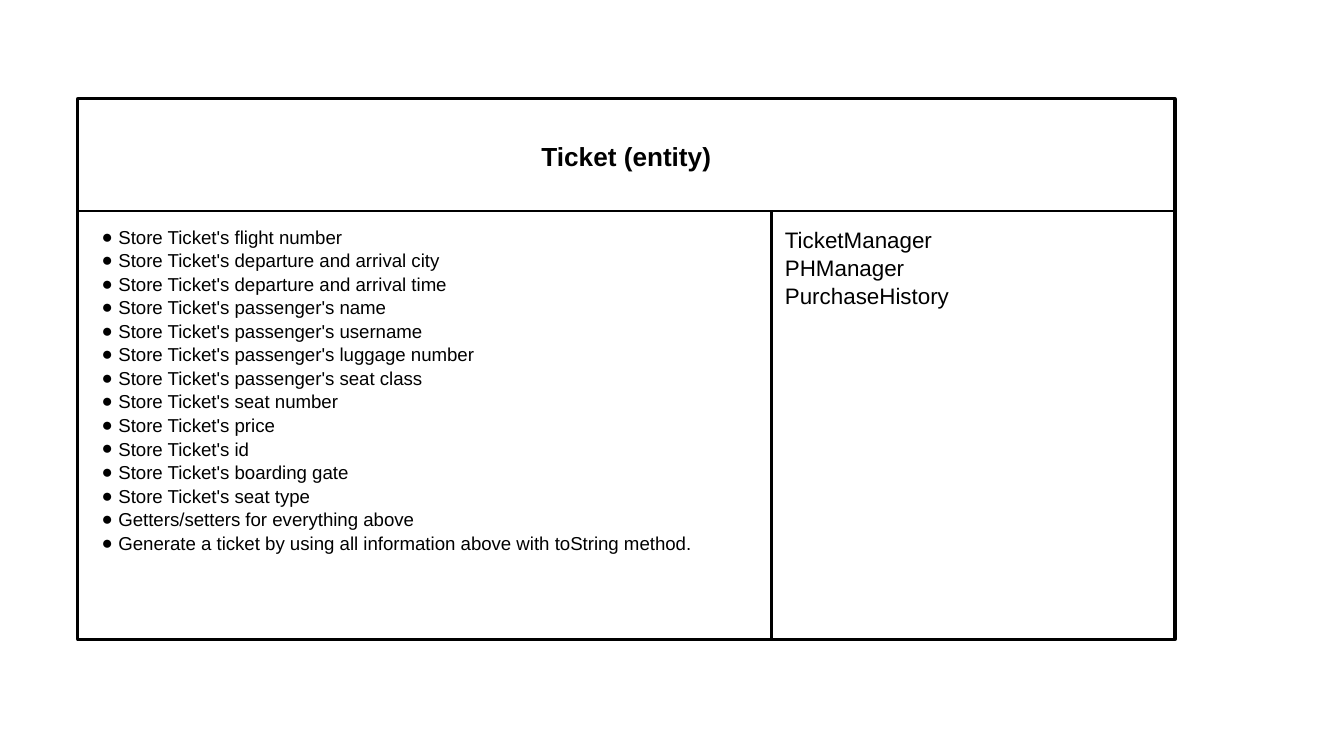
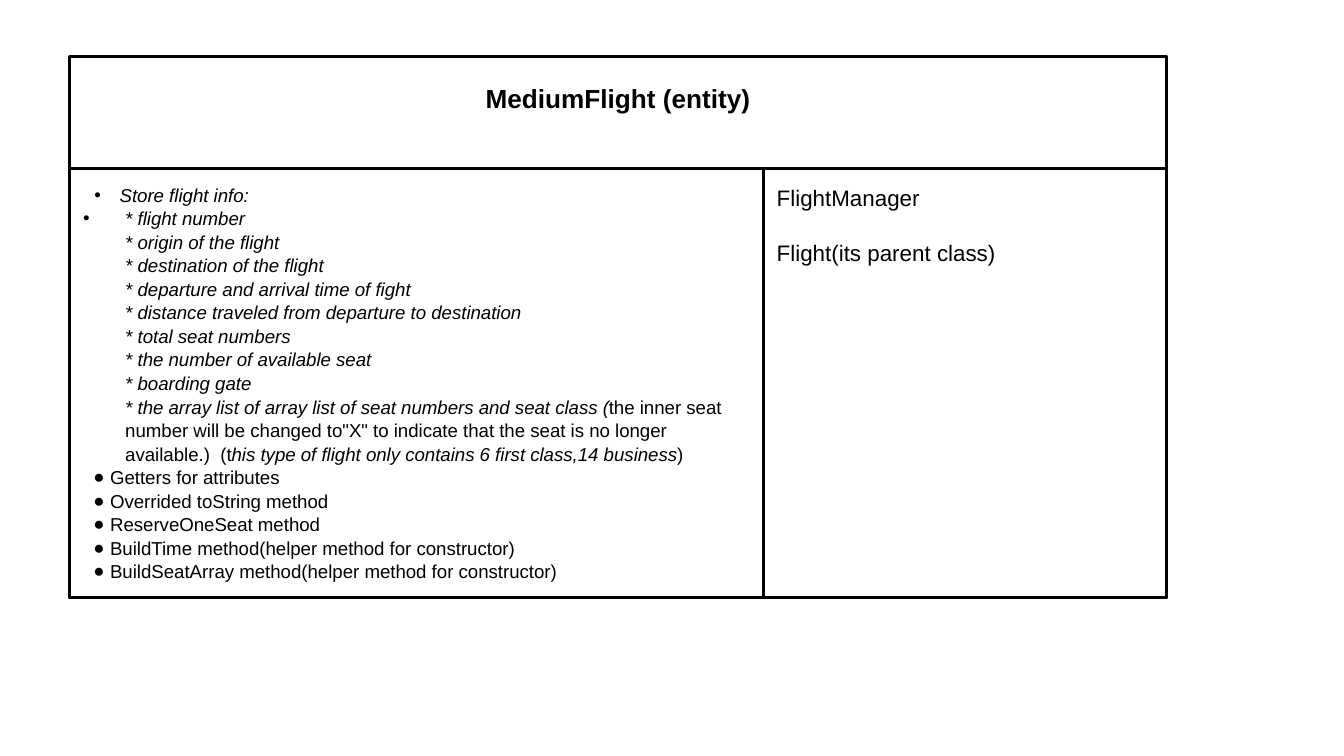
from copy import deepcopy
from lxml.etree import SubElement
from pptx import Presentation
from pptx.dml.color import RGBColor
from pptx.enum.shapes import MSO_SHAPE
from pptx.enum.text import MSO_ANCHOR, MSO_AUTO_SIZE, PP_ALIGN
from pptx.oxml.ns import qn
from pptx.util import Pt

BLACK = RGBColor(0, 0, 0)
WHITE = RGBColor(255, 255, 255)
FONT = "Arial"
HEAD, BODY = 60, 229.5
LEFT, RIGHT = 371.5, 216
WIDTH = LEFT + RIGHT
PAD = 7.2
DOT = dict(mark="●", left=14.4, hang=9)

STORED = [
    "flight number", "departure and arrival city",
    "departure and arrival time", "passenger's name",
    "passenger's username", "passenger's luggage number",
    "passenger's seat class", "seat number", "price", "id",
    "boarding gate", "seat type",
]
TICKET = [f"Store Ticket's {item}" for item in STORED] + [
    "Getters/setters for everything above",
    "Generate a ticket by using all information above with toString method.",
]
INFO = [
    "flight number", "origin of the flight", "destination of the flight",
    "departure and arrival time of fight",
    "distance traveled from departure to destination",
    "total seat numbers", "the number of available seat", "boarding gate",
    "the array list of array list of seat numbers and seat class (",
]
DETAIL = [
    ("\n".join(f"* {item}" for item in INFO), True),
    ('the inner seat number will be changed to"X" to indicate that '
     "the seat is no longer available.)  (t", False),
    ("his type of flight only contains 6 first class,14 business", True),
    (")", False),
]
METHODS = [
    "Getters for attributes",
    "Overrided toString method",
    "ReserveOneSeat method",
    "BuildTime method(helper method for constructor)",
    "BuildSeatArray method(helper method for constructor)",
]


def bullet(para, mark, left, hang):
    props = para._p.get_or_add_pPr()
    props.set("marL", str(Pt(left)))
    props.set("indent", str(-Pt(hang)))
    if not mark:
        SubElement(props, qn("a:buNone"))
        return
    color = SubElement(props, qn("a:buClr"))
    SubElement(color, qn("a:srgbClr"), val=str(BLACK))
    SubElement(props, qn("a:buFont"), typeface=FONT)
    SubElement(props, qn("a:buChar"), char=mark)


def write(frame, text, size=10, bold=False, italic=False, align=PP_ALIGN.LEFT,
          before=0, mark=None, left=0, hang=0):
    para = frame.add_paragraph() if frame.text else frame.paragraphs[0]
    bullet(para, mark, left, hang)
    para.alignment = align
    para.line_spacing = 1.05
    para.space_before = Pt(before)
    para.space_after = Pt(0)
    parts = [(text, italic)] if isinstance(text, str) else text
    for words, slant in parts:
        for row, line in enumerate(words.split("\n")):
            if row:
                para.add_line_break()
            run = para.add_run()
            run.text = line
            font = run.font
            font.name, font.size = FONT, Pt(size)
            font.bold, font.italic = bold, slant
            font.color.rgb = BLACK
    for gap in para._p.findall(qn("a:br")):
        gap.append(deepcopy(para.runs[0]._r.rPr))


def paint(shape, weight):
    shape.fill.solid()
    shape.fill.fore_color.rgb = WHITE
    shape.line.color.rgb = BLACK
    shape.line.width = Pt(weight)


def cell(shape, x, y, width, height, anchor=MSO_ANCHOR.TOP, foot=PAD):
    shape.left, shape.top = Pt(x), Pt(y)
    shape.width, shape.height = Pt(width), Pt(height)
    paint(shape, 1.5)
    frame = shape.text_frame
    frame.word_wrap = True
    frame.auto_size = MSO_AUTO_SIZE.NONE
    frame.vertical_anchor = anchor
    frame.margin_left = frame.margin_right = frame.margin_top = Pt(PAD)
    frame.margin_bottom = Pt(foot)
    return frame


def card(deck, x, y, title, peers, foot=PAD, gap=0):
    slide = deck.slides.add_slide(deck.slide_layouts[3])
    border = slide.shapes.add_shape(
        MSO_SHAPE.RECTANGLE, Pt(x), Pt(y), Pt(WIDTH), Pt(HEAD + BODY))
    border.shadow.inherit = False
    paint(border, 2.25)
    slide.shapes._spTree.insert(2, border._element)
    head, duties, helpers = slide.placeholders
    frame = cell(head, x, y, WIDTH, HEAD, MSO_ANCHOR.MIDDLE, foot)
    write(frame, title, size=14, bold=True, align=PP_ALIGN.CENTER)
    body = cell(duties, x, y + HEAD, LEFT, BODY)
    frame = cell(helpers, x + LEFT, y + HEAD, RIGHT, BODY)
    for row, name in enumerate(peers):
        write(frame, name, size=12, before=gap if row else 0)
    return body


def main():
    deck = Presentation()
    deck.slide_width, deck.slide_height = Pt(720), Pt(405)

    body = card(deck, 41.8, 53, "Ticket (entity)",
                ["TicketManager", "PHManager", "PurchaseHistory"])
    for text in TICKET:
        write(body, text, **DOT)

    body = card(deck, 37.4, 30.5, "MediumFlight (entity)",
                ["FlightManager", "Flight(its parent class)"],
                foot=23.5, gap=14.5)
    write(body, "Store flight info:", italic=True, mark="•", left=19.5, hang=13.5)
    write(body, DETAIL, mark="•", left=22.5, hang=22.5)
    for text in METHODS:
        write(body, text, **DOT)

    deck.save("out.pptx")


if __name__ == "__main__":
    main()
